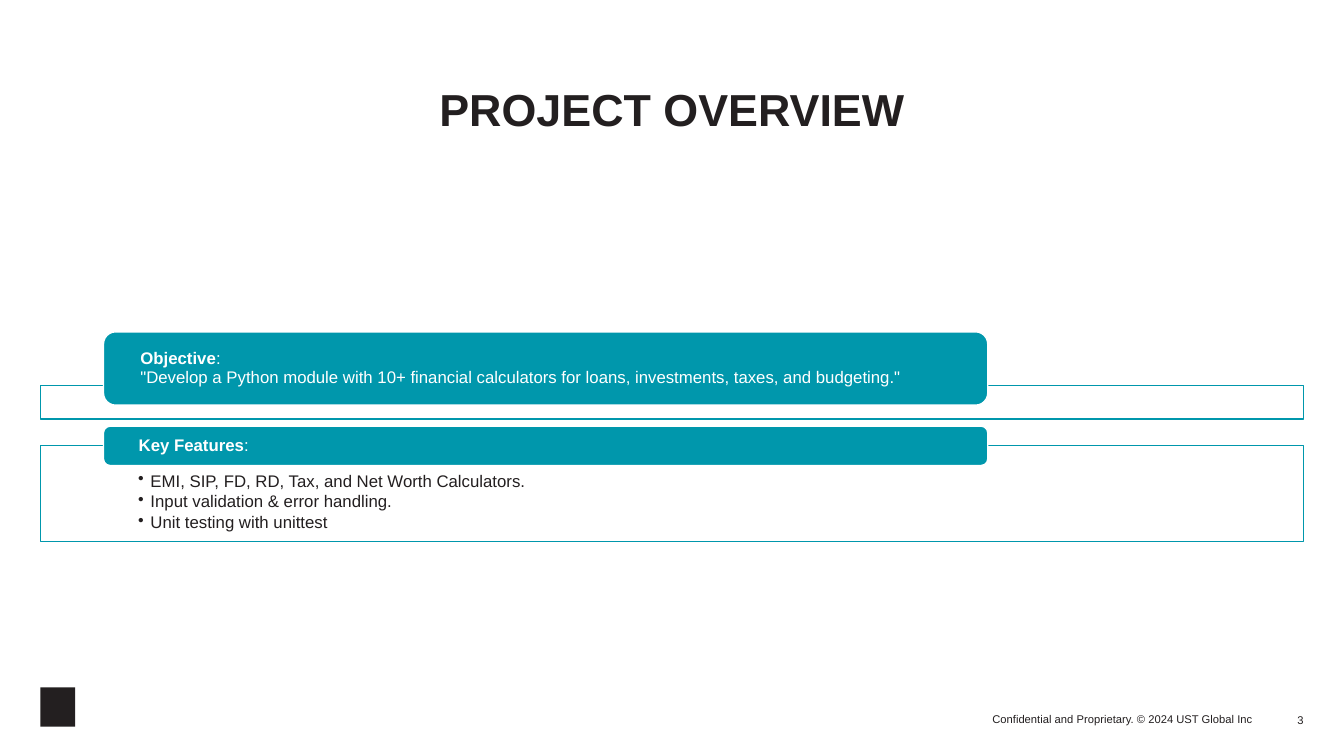
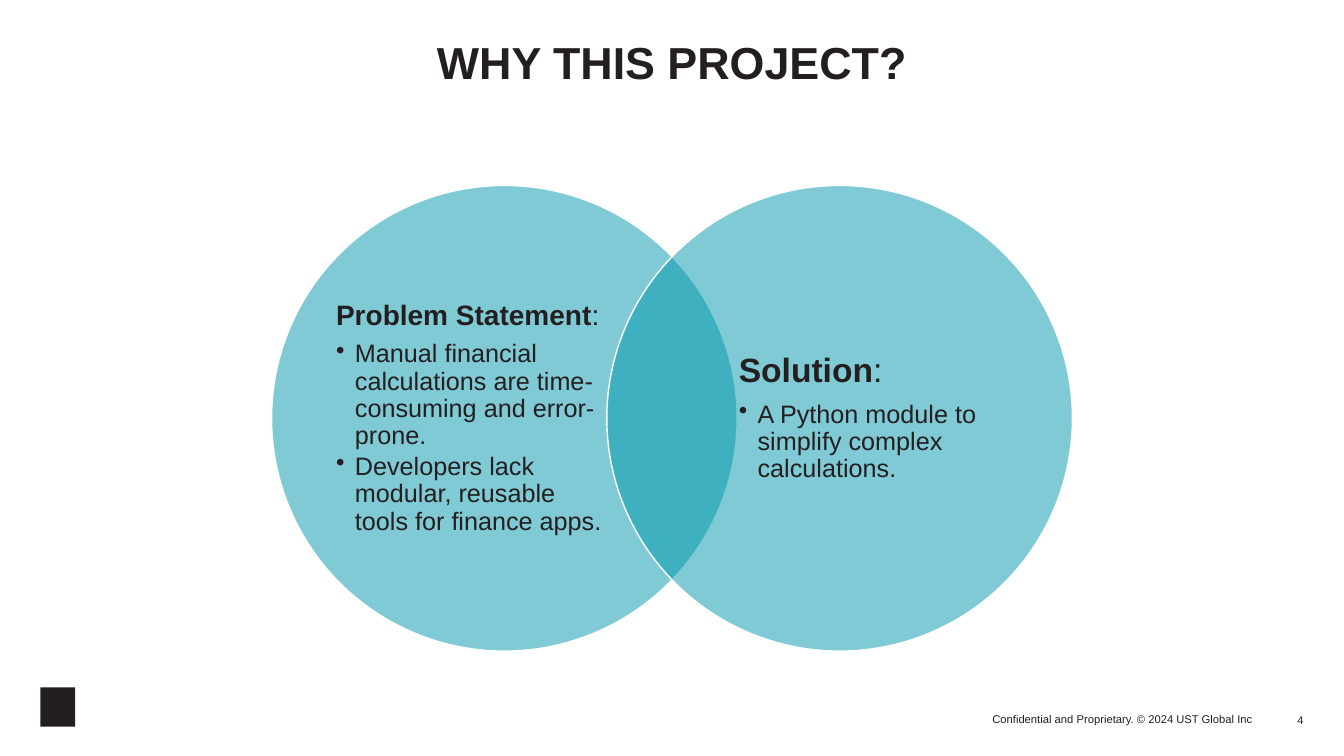
import pptx
import pptx.util
import pptx.dml.color
import pptx.enum.shapes
import pptx.enum.text
import pptx.oxml
import pptx.oxml.ns

Pt = pptx.util.Pt
RGBColor = pptx.dml.color.RGBColor
SHAPE = pptx.enum.shapes.MSO_SHAPE
ANCHOR = pptx.enum.text.MSO_ANCHOR
ALIGN = pptx.enum.text.PP_ALIGN
qn = pptx.oxml.ns.qn

TEAL = RGBColor(0x00, 0x97, 0xAC)
INK = RGBColor(0x23, 0x1F, 0x20)
WHITE = RGBColor(0xFF, 0xFF, 0xFF)
FONT = "Arial"

SLIDE_W, SLIDE_H = 960, 540
MARGIN = 28.8
CONTENT_W = SLIDE_W - 2 * MARGIN
TITLE_SIZE = 32
TITLE_TOP = MARGIN


# Shared building blocks
def add_shape(s, kind, box, fill, line=None, alpha=None):
    sp = s.shapes.add_shape(kind, *map(Pt, box))
    sp.shadow.inherit = False
    sp.fill.solid()
    sp.fill.fore_color.rgb = fill
    if alpha is not None:
        clr = sp.fill._xPr.find(qn("a:solidFill"))[0]
        node = pptx.oxml.parse_xml(
            '<a:alpha xmlns:a="http://schemas.openxmlformats.org/drawingml/2006/main"'
            f' val="{alpha * 1000}"/>')
        clr.append(node)
    if line is None:
        sp.line.fill.background()
    else:
        sp.line.color.rgb = line
        sp.line.width = Pt(1)
    return sp


def set_frame(sp, insets=(0, 0, 0, 0), anchor=ANCHOR.TOP, wrap=True):
    tf = sp.text_frame
    tf.word_wrap = wrap
    tf.vertical_anchor = anchor
    tf.margin_left, tf.margin_top, tf.margin_right, tf.margin_bottom = map(Pt, insets)
    return tf


def add_text(s, box, **frame):
    return set_frame(s.shapes.add_textbox(*map(Pt, box)), **frame)


def add_par(tf, runs, size, color=INK, align=ALIGN.LEFT, spacing=0.9, after=0, indent=None):
    """Add one paragraph; runs are (text, bold), after is a share of the size."""
    first = tf.paragraphs[0]
    p = tf.add_paragraph() if first.runs else first
    p.alignment = align
    p.line_spacing = spacing
    p.space_after = Pt(round(after * size, 2))
    if indent is not None:
        pPr = p._p.get_or_add_pPr()
        pPr.set("marL", str(Pt(indent)))
        pPr.set("indent", str(-Pt(indent)))
        pPr.append(pptx.oxml.parse_xml(
            '<a:buChar xmlns:a="http://schemas.openxmlformats.org/drawingml/2006/main"'
            ' char="•"/>'))
    for text, bold in runs:
        r = p.add_run()
        r.text = text
        r.font.name = FONT
        r.font.size = Pt(size)
        r.font.bold = bold
        r.font.color.rgb = color


def add_heading(tf, label, size, color=INK, after=0.35):
    add_par(tf, [(label, True), (":", False)], size, color, after=after)


def add_bullets(tf, items, size, indent):
    for item in items:
        add_par(tf, [(item, False)], size, after=0.15, indent=indent)


def new_slide(prs, title, number, title_top=TITLE_TOP):
    s = prs.slides.add_slide(prs.slide_layouts[6])
    # Footer: mark, notice, page number
    add_shape(s, SHAPE.RECTANGLE, (MARGIN, 491, 25, 28), INK)
    notice = "Confidential and Proprietary. © 2024 UST Global Inc"
    for text, box in ((notice, (647.3, 504, 247.7, 14.4)),
                      (str(number), (895.2, 497.5, 36, 21.6))):
        tf = add_text(s, box, anchor=ANCHOR.BOTTOM)
        add_par(tf, [(text, False)], 8, align=ALIGN.RIGHT, spacing=1.0)
    # Title
    tf = add_text(s, (MARGIN, title_top, CONTENT_W, 72))
    add_par(tf, [(title, True)], TITLE_SIZE, align=ALIGN.CENTER)
    return s


# Tabbed panels, stacked down from the top of the box
def add_panels(s, left, top, width, panels):
    overlap, gap, size = 14.2, 5.2, 12
    for label, quote, items, tab_h, panel_h in panels:
        panel_top = top + tab_h - overlap
        panel = add_shape(s, SHAPE.RECTANGLE, (left, panel_top, width, panel_h), WHITE, TEAL)
        if items:
            tf = set_frame(panel, (69.8, 19.4, 69.8, 6.5))
            add_bullets(tf, items, size, 8.9)
        tab = add_shape(s, SHAPE.ROUNDED_RECTANGLE,
                        (left + 0.05 * width, top, 0.7 * width, tab_h), TEAL, WHITE)
        tf = set_frame(tab, (23.8, 0, 23.8, 0), ANCHOR.MIDDLE)
        add_heading(tf, label, size, WHITE, after=0)
        if quote:
            add_par(tf, [(quote, False)], size, WHITE)
        top = panel_top + panel_h + gap


# Two overlapping circles, centred across the box
def add_venn(s, left, top, width, height, topics):
    shift, text_w, text_h, pad = 0.72 * height, 192.2, 254, 46.1
    start = left + (width - height - shift) / 2
    for i, (label, size, items) in enumerate(topics):
        x = start + i * shift
        add_shape(s, SHAPE.OVAL, (x, top, height, height), TEAL, WHITE, alpha=50)
        text_x = x + pad if i == 0 else x + height - pad - text_w
        tf = add_text(s, (text_x, top + (height - text_h) / 2, text_w, text_h),
                      anchor=ANCHOR.MIDDLE)
        add_heading(tf, label, size)
        add_bullets(tf, items, 18, 13.5)


def main():
    prs = pptx.Presentation()
    prs.slide_width, prs.slide_height = Pt(SLIDE_W), Pt(SLIDE_H)

    s = new_slide(prs, "PROJECT OVERVIEW", 3, title_top=TITLE_TOP + 34)
    add_panels(s, MARGIN, 237, CONTENT_W, [
        ("Objective",
         '"Develop a Python module with 10+ financial calculators for loans, '
         'investments, taxes, and budgeting."', [], 52.4, 24),
        ("Key Features", None,
         ["EMI, SIP, FD, RD, Tax, and Net Worth Calculators.",
          "Input validation & error handling.",
          "Unit testing with unittest"], 28.1, 68.4),
    ])

    s = new_slide(prs, "WHY THIS PROJECT?", 4)
    add_venn(s, MARGIN, 132.5, CONTENT_W, 332.6, [
        ("Problem Statement", 20,
         ["Manual financial calculations are time-consuming and error-prone.",
          "Developers lack modular, reusable tools for finance apps."]),
        ("Solution", 24, ["A Python module to simplify complex calculations."]),
    ])

    prs.save("out.pptx")


if __name__ == "__main__":
    main()
